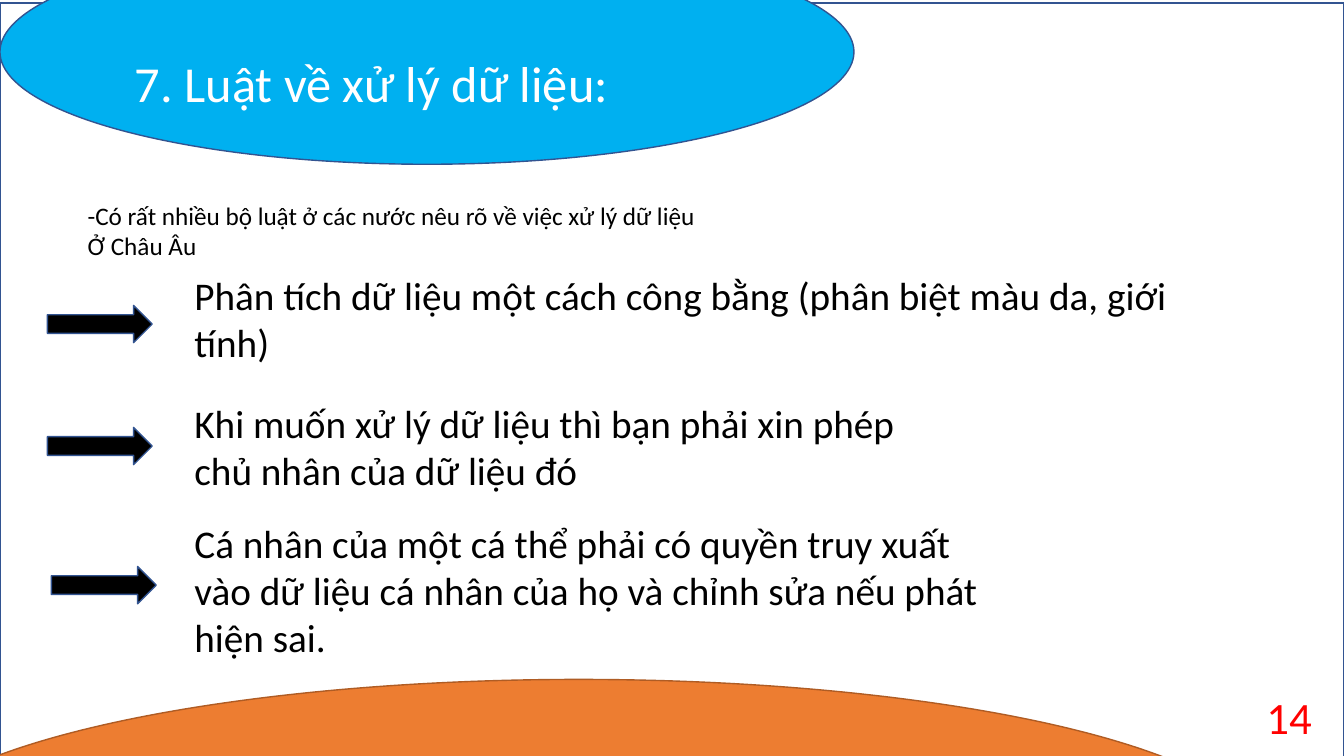
from dataclasses import dataclass

from pptx import Presentation
from pptx.dml.color import RGBColor
from pptx.enum.shapes import MSO_SHAPE as Preset
from pptx.enum.text import MSO_ANCHOR as Anchor, PP_ALIGN as Align
from pptx.util import Inches, Pt


@dataclass(frozen=True)
class Theme:
    font: str = "Calibri"
    white: str = "FFFFFF"
    black: str = "000000"
    sky: str = "00B0F0"
    orange: str = "ED7D31"
    red: str = "FF0000"
    navy_line: str = "325491"
    brown_line: str = "AF5C24"
    title_size: int = 36
    number_size: int = 32
    law_size: int = 28
    intro_size: int = 18


THEME = Theme()
SLIDE_WIDTH, SLIDE_HEIGHT = 13.33, 7.5
ARROW_WIDTH, ARROW_HEIGHT = 1.04, 0.37
LAW_LEFT = 1.83
INTRO = [
    "-Có rất nhiều bộ luật ở các nước nêu rõ về việc xử lý dữ liệu",
    "Ở Châu Âu",
]
# Arrow left and top, then text top, width and height
LAWS = [
    ("Phân tích dữ liệu một cách công bằng (phân biệt màu da, giới tính)",
     (0.47, 3.03), (2.64, 10.36, 1.51)),
    ("Khi muốn xử lý dữ liệu thì bạn phải xin phép chủ nhân của dữ liệu đó",
     (0.47, 4.24), (3.91, 7.52, 1.04)),
    ("Cá nhân của một cá thể phải có quyền truy xuất vào dữ liệu cá nhân của họ "
     "và chỉnh sửa nếu phát hiện sai.",
     (0.51, 5.62), (5.1, 8.09, 1.82)),
]


def add_outlined(shapes, preset, box, fill, line=THEME.navy_line):
    shape = shapes.add_shape(preset, *map(Inches, box))
    shape.shadow.inherit = False
    shape.fill.solid()
    shape.fill.fore_color.rgb = RGBColor.from_string(fill)
    shape.line.color.rgb = RGBColor.from_string(line)
    shape.line.width = Pt(1)
    return shape


def write(frame, lines, size, color, align=Align.LEFT, anchor=Anchor.TOP):
    frame.word_wrap = True
    frame.vertical_anchor = anchor
    for index, line in enumerate(lines):
        paragraph = frame.add_paragraph() if index else frame.paragraphs[0]
        paragraph.text = line
        paragraph.alignment = align
        font = paragraph.runs[0].font
        for name, value in {"name": THEME.font, "size": Pt(size)}.items():
            setattr(font, name, value)
        font.color.rgb = RGBColor.from_string(color)


def add_text(shapes, box, lines, size, color, **layout):
    textbox = shapes.add_textbox(*map(Inches, box))
    write(textbox.text_frame, lines, size, color, **layout)


def add_title(shapes, box):
    """Blue oval whose title sits below its centre."""
    oval = add_outlined(shapes, Preset.OVAL, box, THEME.sky)
    oval.text_frame.margin_top = Inches(0.66)
    write(oval.text_frame, ["7. Luật về xử lý dữ liệu:"],
          THEME.title_size, THEME.white, anchor=Anchor.MIDDLE)


def add_law(shapes, law, arrow_corner, text_box):
    """Group of an arrow and the rule it points to."""
    members = shapes.add_group_shape().shapes
    arrow_box = (*arrow_corner, ARROW_WIDTH, ARROW_HEIGHT)
    add_outlined(members, Preset.RIGHT_ARROW, arrow_box, THEME.black)
    add_text(members, (LAW_LEFT, *text_box), [law], THEME.law_size, THEME.black)


def build_law_slide(slide):
    shapes = slide.shapes
    add_outlined(shapes, Preset.RECTANGLE,
                 (0, 0.03, SLIDE_WIDTH, SLIDE_HEIGHT), THEME.white)
    add_title(shapes, (0, -0.6, 8.47, 2.23))
    add_outlined(shapes, Preset.OVAL, (-1.1, 6.74, 13.68, 3.28),
                 THEME.orange, THEME.brown_line)
    add_text(shapes, (10.11, 6.91, 3, 0.4), ["14"], THEME.number_size,
             THEME.red, align=Align.RIGHT, anchor=Anchor.MIDDLE)
    add_text(shapes, (0.77, 1.94, 10.88, 0.71), INTRO,
             THEME.intro_size, THEME.black)
    for law in LAWS:
        add_law(shapes, *law)


def main():
    deck = Presentation()
    deck.slide_width = Inches(SLIDE_WIDTH)
    deck.slide_height = Inches(SLIDE_HEIGHT)
    build_law_slide(deck.slides.add_slide(deck.slide_layouts[6]))
    deck.save("out.pptx")


if __name__ == "__main__":
    main()
